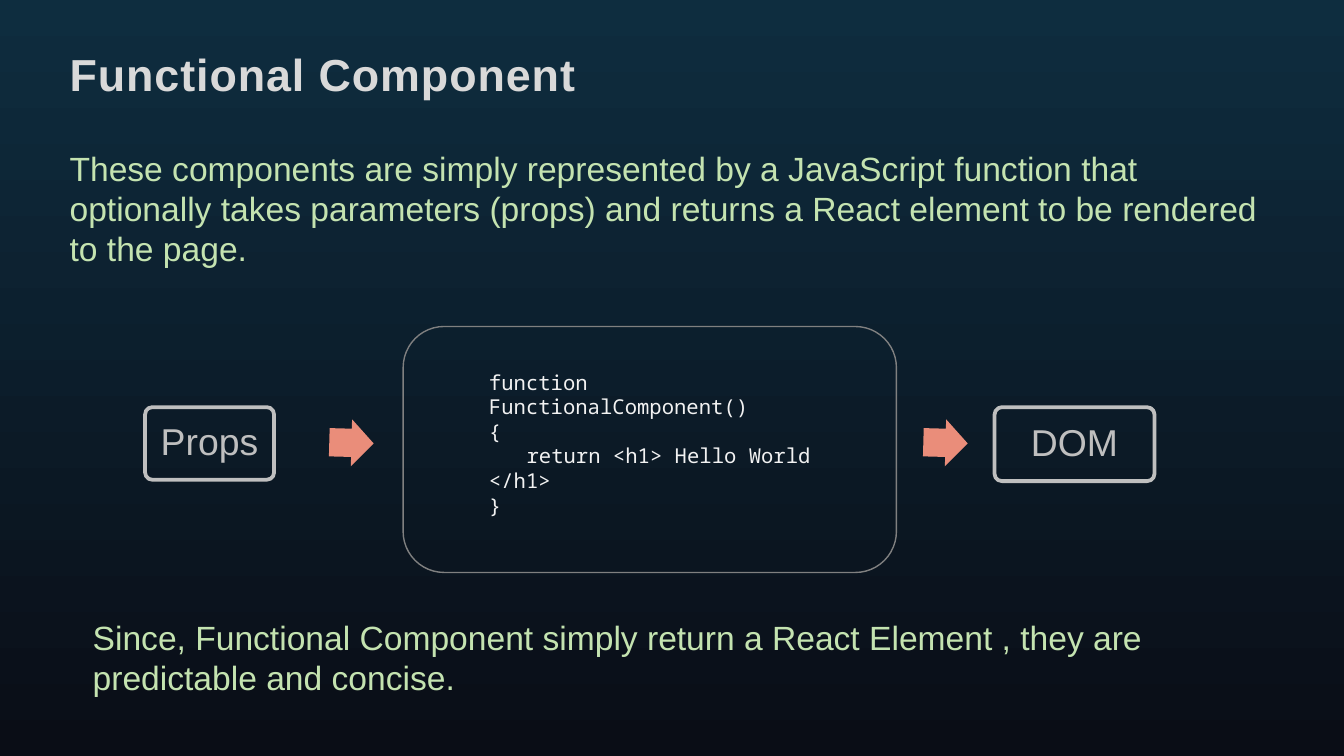
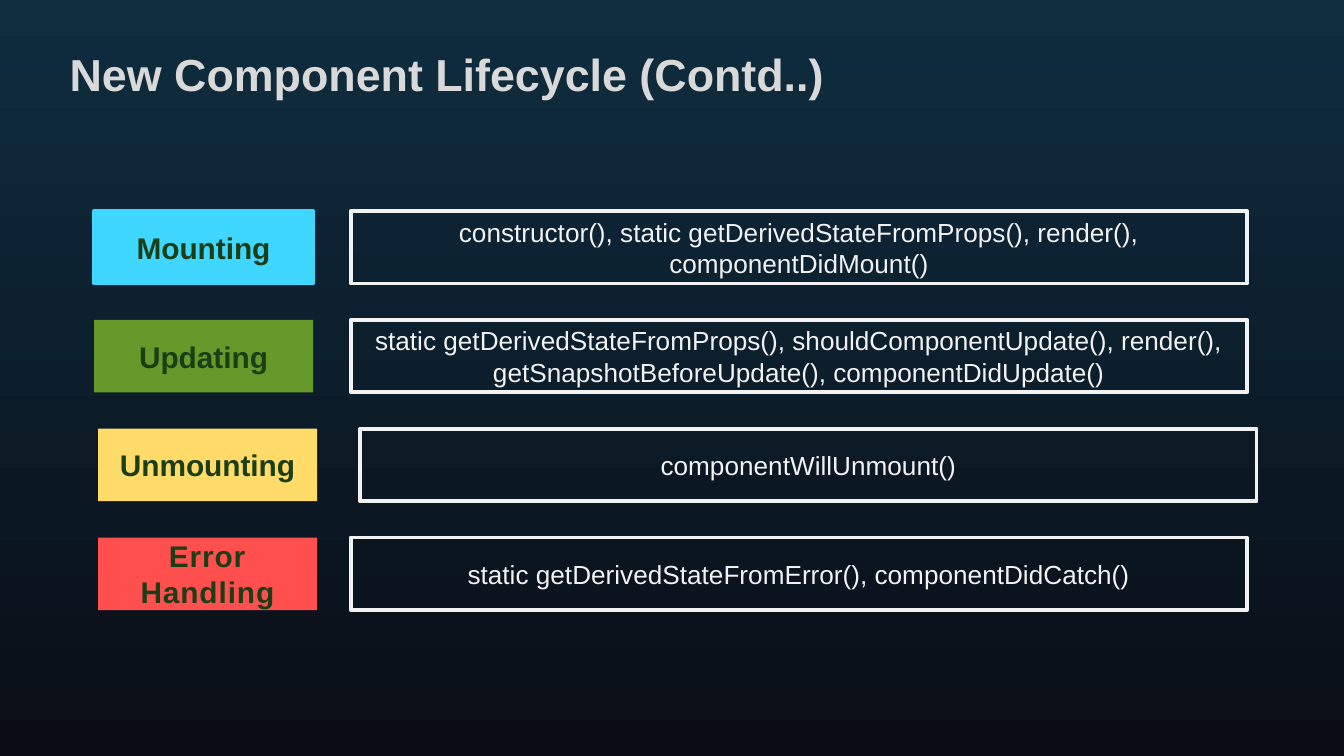
from dataclasses import dataclass
from typing import Optional

from lxml.etree import SubElement
from pptx import Presentation
from pptx.dml.color import RGBColor
from pptx.enum.shapes import MSO_SHAPE
from pptx.enum.text import MSO_ANCHOR, PP_ALIGN
from pptx.oxml.ns import qn
from pptx.util import Inches, Pt

# Shared colours and fonts
NIGHT_TOP, NIGHT_BOTTOM = "0E2D3F", "0A0D16"
TITLE_GREY, BOX_GREY, FRAME_GREY = "D9D9D9", "BFBFBF", "808080"
OFF_WHITE, PALE_GREEN, DARK_GREEN, SALMON = "F2F2F2", "C4E3B0", "1C3E16", "EA8D7A"
BODY_FONT, CODE_FONT = "Arial", "Noto Sans Mono"


@dataclass(frozen=True)
class Box:
    left: float
    top: float
    width: float
    height: float

    def lengths(self):
        return [Inches(n) for n in (self.left, self.top, self.width, self.height)]


@dataclass(frozen=True)
class TextStyle:
    size: float
    color: str
    bold: bool = False
    font: str = BODY_FONT
    spacing: float = 0
    outline: Optional[str] = None


@dataclass(frozen=True)
class Phase:
    name: str
    methods: str
    fill: str
    line: Optional[str] = None
    name_left: float = 0.7
    methods_left: float = 2.61
    spacing: float = 0


BODY = TextStyle(18, PALE_GREEN)
CODE = TextStyle(11, OFF_WHITE, font=CODE_FONT, outline=TITLE_GREY)
NODE = TextStyle(20, BOX_GREY)
METHODS = TextStyle(14, OFF_WHITE)

CODE_LINES = [
    ("function FunctionalComponent()", 0),
    ("{", 0),
    ("return <h1> Hello World </h1>", 0.28),
    ("}", 0),
]
NODES = [("Props", Box(1.08, 3.03, 0.96, 0.54)), ("DOM", Box(7.4, 3.03, 1.19, 0.55))]
ARROW_LEFTS = (2.45, 6.87)

PHASES = [
    Phase("Mounting", "constructor(), static getDerivedStateFromProps(), render(), "
          "componentDidMount()", "3FD6FF", line="3FD6FF"),
    Phase("Updating", "static getDerivedStateFromProps(), shouldComponentUpdate(), "
          "render(), getSnapshotBeforeUpdate(), componentDidUpdate()", "659A2A"),
    Phase("Unmounting", "componentWillUnmount()", "FFDB69",
          name_left=0.73, methods_left=2.68),
    Phase("Error Handling", "static getDerivedStateFromError(), componentDidCatch()",
          "FF4F4F", name_left=0.73, spacing=0.5),
]
PHASE_TOP, PHASE_PITCH, PHASE_HEIGHT = 1.57, 0.81, 0.54


def rgb(color: str) -> RGBColor:
    return RGBColor.from_string(color)


def add_run(paragraph, text: str, style: TextStyle) -> None:
    run = paragraph.add_run()
    run.text = text
    run.font.size = Pt(style.size)
    run.font.name = style.font
    run.font.bold = style.bold
    run.font.color.rgb = rgb(style.color)
    properties = run.font._element
    if style.spacing:
        properties.set("spc", str(round(style.spacing * 100)))
    if style.outline:
        line = SubElement(properties, qn("a:ln"), w=str(Pt(0.75)))
        fill = SubElement(line, qn("a:solidFill"))
        SubElement(fill, qn("a:srgbClr"), val=style.outline)
        properties.insert(0, line)


def add_text_box(slide, box: Box, lines: list[tuple[str, float]], style: TextStyle):
    """Write one paragraph per (text, first-line indent) pair."""
    frame = slide.shapes.add_textbox(*box.lengths()).text_frame
    frame.word_wrap = True
    for number, (text, indent) in enumerate(lines):
        paragraph = frame.add_paragraph() if number else frame.paragraphs[0]
        if indent:
            paragraph._p.get_or_add_pPr().set("indent", str(Inches(indent)))
        add_run(paragraph, text, style)
    return frame


def add_box(slide, kind: MSO_SHAPE, box: Box, fill: Optional[str] = None,
            line: Optional[str] = None, line_width: float = 2):
    shape = slide.shapes.add_shape(kind, *box.lengths())
    shape.shadow.inherit = False
    if fill:
        shape.fill.solid()
        shape.fill.fore_color.rgb = rgb(fill)
    else:
        shape.fill.background()
    if line:
        shape.line.color.rgb = rgb(line)
        shape.line.width = Pt(line_width)
    else:
        shape.line.fill.background()
    return shape


def label(shape, text: str, style: TextStyle):
    frame = shape.text_frame
    frame.word_wrap = True
    frame.vertical_anchor = MSO_ANCHOR.MIDDLE
    paragraph = frame.paragraphs[0]
    paragraph.alignment = PP_ALIGN.CENTER
    add_run(paragraph, text, style)
    return paragraph


def add_slide(presentation, title: str, title_height: float, spacing: float = 0):
    """Blank slide with the gradient background and the title."""
    slide = presentation.slides.add_slide(presentation.slide_layouts[6])
    fill = slide.background.fill
    fill.gradient()
    fill.gradient_angle = 270
    for stop, color, position in zip(fill.gradient_stops, (NIGHT_TOP, NIGHT_BOTTOM), (0, 1)):
        stop.color.rgb = rgb(color)
        stop.position = position
    style = TextStyle(24, TITLE_GREY, bold=True, spacing=spacing)
    add_text_box(slide, Box(0.42, 0.3, 9.17, title_height), [(title, 0)], style)
    return slide


def build_functional_component(presentation) -> None:
    slide = add_slide(presentation, "Functional Component", 0.65, spacing=0.5)

    # Explanations above and below the flow
    add_text_box(slide, Box(0.42, 1.05, 9.17, 0.97), [(
        "These components are simply represented by a JavaScript function that "
        "optionally takes parameters (props) and returns a React element to be "
        "rendered to the page.", 0)], BODY)
    closing = add_text_box(slide, Box(0.69, 4.59, 8.9, 0.91), [(
        "Since, Functional Component simply return a React Element , they are "
        "predictable and concise.", 0)], BODY)
    closing.margin_left = closing.margin_right = 0
    closing.margin_top = closing.margin_bottom = 0

    # Code in its frame
    add_box(slide, MSO_SHAPE.ROUNDED_RECTANGLE, Box(3, 2.43, 3.67, 1.83),
            line=FRAME_GREY, line_width=0.75)
    add_text_box(slide, Box(3.54, 2.7, 2.6, 1.21), CODE_LINES, CODE)

    # Input and output, with arrows between
    for text, box in NODES:
        node = add_box(slide, MSO_SHAPE.ROUNDED_RECTANGLE, box, line=BOX_GREY)
        node.adjustments[0] = 0.1
        label(node, text, NODE).line_spacing = 0.9
    for left in ARROW_LEFTS:
        arrow = add_box(slide, MSO_SHAPE.RIGHT_ARROW, Box(left, 3.12, 0.33, 0.35), fill=SALMON)
        arrow.adjustments[0] = 0.6
        arrow.rotation = 1.5


def build_lifecycle(presentation) -> None:
    slide = add_slide(presentation, "New Component Lifecycle (Contd..)", 0.87)

    # One row per phase: its name, then its methods
    for row, phase in enumerate(PHASES):
        top = PHASE_TOP + row * PHASE_PITCH
        name = add_box(slide, MSO_SHAPE.RECTANGLE,
                       Box(phase.name_left, top, 1.63, PHASE_HEIGHT), phase.fill, phase.line)
        label(name, phase.name, TextStyle(16, DARK_GREEN, bold=True, spacing=phase.spacing))
        methods = add_box(slide, MSO_SHAPE.RECTANGLE,
                          Box(phase.methods_left, top, 6.67, PHASE_HEIGHT), line=OFF_WHITE)
        label(methods, phase.methods, METHODS)


def main() -> None:
    presentation = Presentation()
    # Widescreen, 16:9
    presentation.slide_width = Inches(10)
    presentation.slide_height = Inches(10 * 9 / 16)
    build_functional_component(presentation)
    build_lifecycle(presentation)
    presentation.save("out.pptx")


if __name__ == "__main__":
    main()
